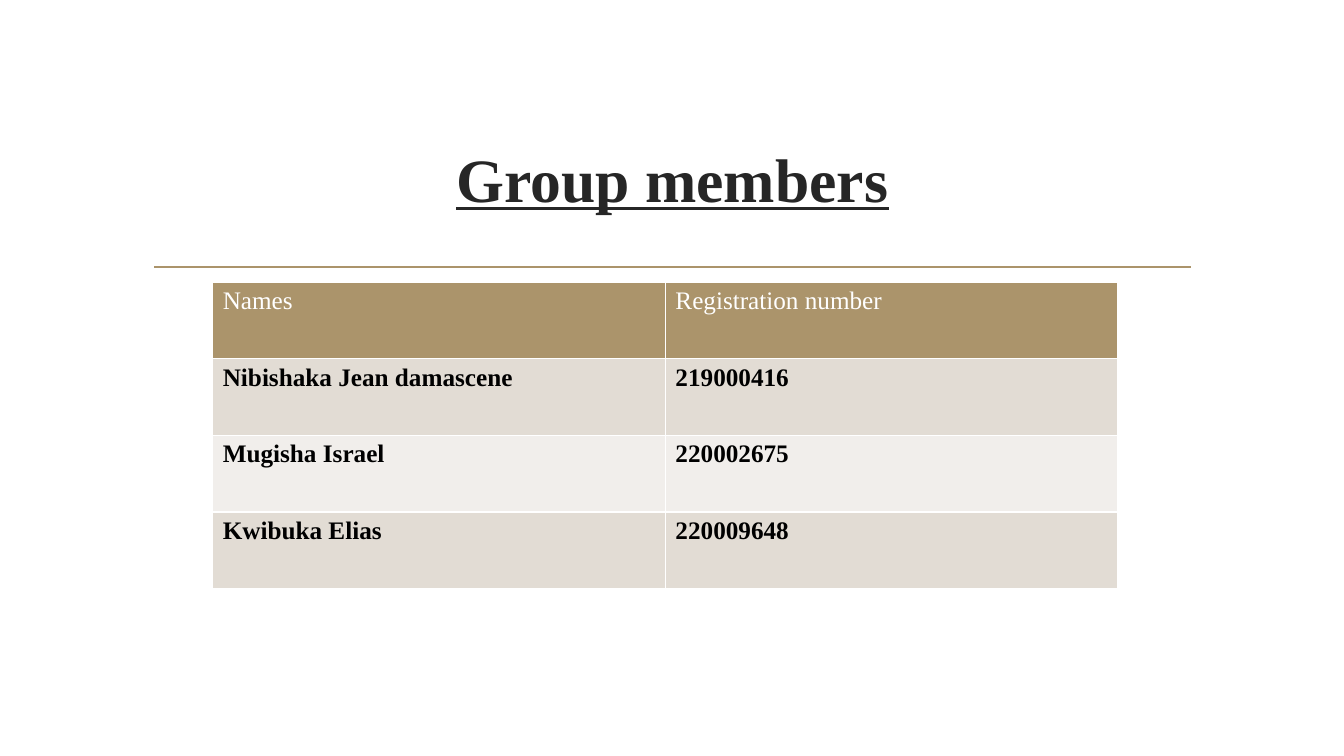
from lxml import etree
from pptx import Presentation
from pptx.dml.color import RGBColor
from pptx.enum.shapes import MSO_CONNECTOR as Connector
from pptx.enum.text import MSO_ANCHOR as Anchor, PP_ALIGN as Align
from pptx.oxml.ns import qn
from pptx.util import Inches, Pt

FONT = "Times New Roman"
COLORS = {
    "title": "262626",
    "header": "AB946B",
    "header_text": "FFFFFF",
    "odd_row": "E2DCD4",
    "even_row": "F1EEEB",
    "body_text": "000000",
}
MEMBERS = [
    ("Names", "Registration number"),
    ("Nibishaka Jean damascene", "219000416"),
    ("Mugisha Israel", "220002675"),
    ("Kwibuka Elias", "220009648"),
]
COLUMN_WIDTH, ROW_HEIGHT = Inches(4.49), Inches(0.76)


def color(name):
    return RGBColor.from_string(COLORS[name])


def add_run(paragraph, text, size, color_name, bold):
    run = paragraph.add_run()
    run.text = text
    run.font.name = FONT
    run.font.size = Pt(size)
    run.font.bold = bold
    run.font.color.rgb = color(color_name)
    return run


presentation = Presentation()
presentation.slide_width = Inches(13.33)
presentation.slide_height = Inches(7.5)
slide = presentation.slides.add_slide(presentation.slide_layouts[5])

# Rule under the title
rule = slide.shapes.add_connector(
    Connector.STRAIGHT, Inches(1.53), Inches(2.65), Inches(11.81), Inches(2.65)
)
rule.line.color.rgb = color("header")
rule.line.width = Pt(1.25)
etree.SubElement(rule._element.spPr, qn("a:effectLst"))

# Title
title = slide.shapes.title
title.left, title.top = Inches(1.42), Inches(1.05)
title.width, title.height = Inches(10.5), Inches(1.42)
title.text_frame.vertical_anchor = Anchor.MIDDLE
paragraph = title.text_frame.paragraphs[0]
paragraph.alignment = Align.CENTER
add_run(paragraph, "Group members", 44, "title", True).font.underline = True

# Member table; the default table style supplies the white borders
rows, columns = len(MEMBERS), len(MEMBERS[0])
table = slide.shapes.add_table(
    rows, columns, Inches(2.11), Inches(2.8),
    COLUMN_WIDTH * columns, ROW_HEIGHT * rows,
).table
for row_index, member in enumerate(MEMBERS):
    is_header = row_index == 0
    if is_header:
        fill_name, text_name = "header", "header_text"
    else:
        fill_name = "odd_row" if row_index % 2 else "even_row"
        text_name = "body_text"
    for column_index, text in enumerate(member):
        cell = table.cell(row_index, column_index)
        cell.fill.solid()
        cell.fill.fore_color.rgb = color(fill_name)
        add_run(cell.text_frame.paragraphs[0], text, 18, text_name, not is_header)

presentation.save("out.pptx")
